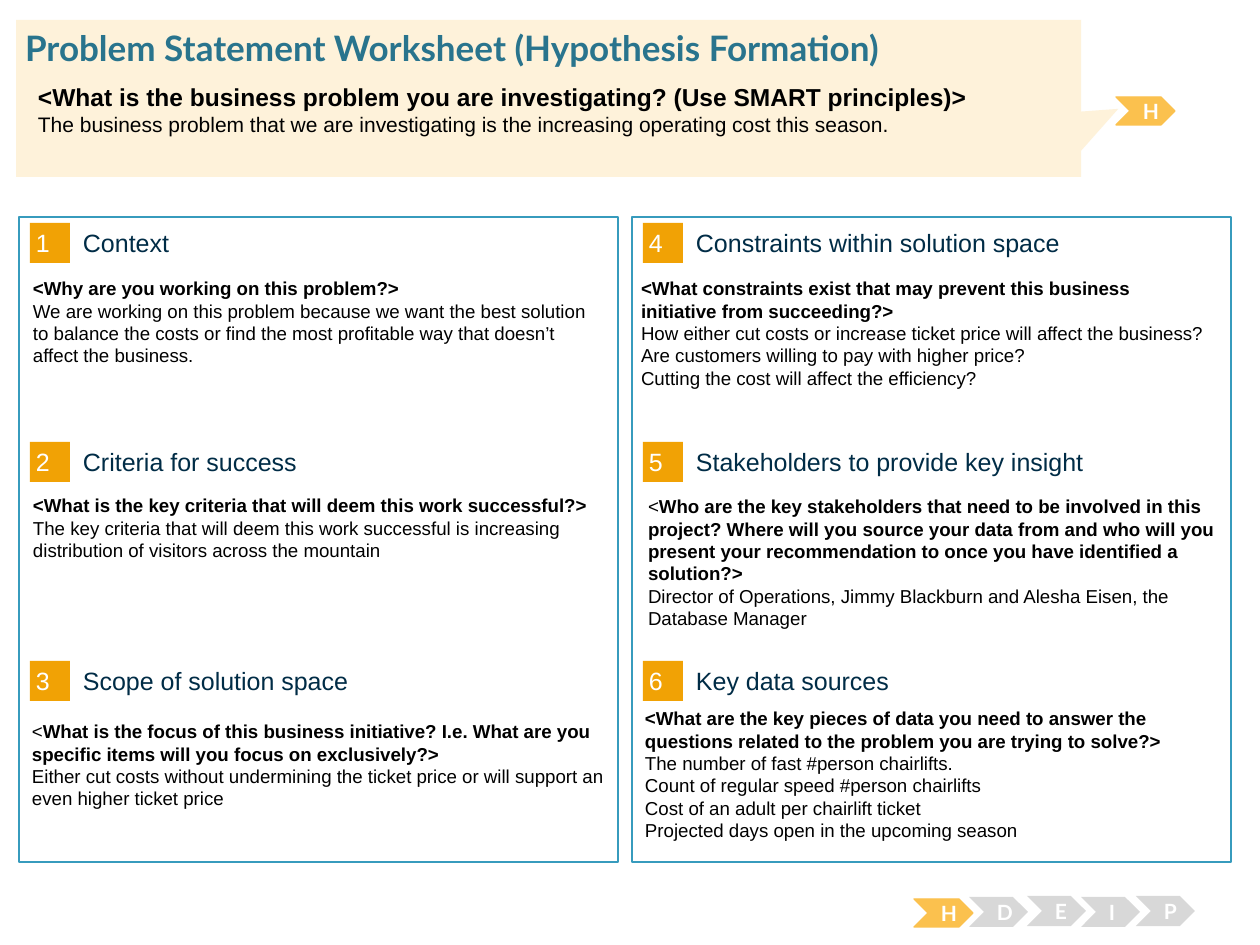
from pptx import Presentation
from pptx.dml.color import RGBColor
from pptx.enum.shapes import MSO_SHAPE
from pptx.enum.text import MSO_ANCHOR, MSO_AUTO_SIZE, PP_ALIGN
from pptx.util import Pt

RECT, CHEVRON, CALLOUT = MSO_SHAPE.RECTANGLE, MSO_SHAPE.CHEVRON, MSO_SHAPE.RECTANGULAR_CALLOUT
TOP, MIDDLE = MSO_ANCHOR.TOP, MSO_ANCHOR.MIDDLE
LEFT, CENTER = PP_ALIGN.LEFT, PP_ALIGN.CENTER
NO_FIT = MSO_AUTO_SIZE.NONE
EMU_PER_PX = 914400 / 126
COLORS = {
    "white": "FFFFFF", "black": "000000", "border": "379BBD", "badge": "F1A205",
    "heading": "002C46", "active": "FBC14E", "idle": "D8D8D8", "banner": "FEF2DA",
    "title": "29748D",
}


def px(value):
    return round(value * EMU_PER_PX)


def rgb(name):
    return RGBColor.from_string(COLORS[name])


class Deck:
    def __init__(self, width, height):
        self.prs = Presentation()
        self.prs.slide_width, self.prs.slide_height = px(width), px(height)
        self.s = self.prs.slides.add_slide(self.prs.slide_layouts[5])

    def fill_text(self, sp, paragraphs, size=10.7, color="black", font="Arial",
                  anchor=TOP, align=LEFT, insets=(13, 6)):
        tf = sp.text_frame
        x, y = map(px, insets)
        frame = {"word_wrap": True, "auto_size": NO_FIT, "vertical_anchor": anchor,
                 "margin_left": x, "margin_right": x, "margin_top": y, "margin_bottom": y}
        for key, value in frame.items():
            setattr(tf, key, value)
        for i, runs in enumerate(paragraphs):
            p = tf.add_paragraph() if i else tf.paragraphs[0]
            p.alignment = align
            for text, bold, *own_size in runs:
                r = p.add_run()
                r.text = text
                style = {"name": font, "bold": bold,
                         "size": Pt(own_size[0] if own_size else size)}
                for key, value in style.items():
                    setattr(r.font, key, value)
                r.font.color.rgb = rgb(color)

    def title(self, box, text):
        sp = self.s.shapes.title
        sp.left, sp.top, sp.width, sp.height = map(px, box)
        self.fill_text(sp, [[(text, True)]], 20, "title", "Lato", insets=(0, 0))
        sp.element.getparent().append(sp.element)

    def text(self, box, paragraphs, **style):
        self.fill_text(self.s.shapes.add_textbox(*map(px, box)), paragraphs, **style)

    def shape(self, kind, box, fill, line=None, width=0.75, adjust=()):
        sp = self.s.shapes.add_shape(kind, *map(px, box))
        sp.shadow.inherit = False
        sp.fill.solid()
        sp.fill.fore_color.rgb = rgb(fill)
        if line:
            sp.line.color.rgb = rgb(line)
            sp.line.width = Pt(width)
        else:
            sp.line.fill.background()
        for i, value in enumerate(adjust):
            sp.adjustments[i] = value
        return sp

    def section(self, number, heading, x, y):
        badge = self.shape(RECT, (x, y, 40, 40), "badge")
        self.fill_text(badge, [[(str(number), False)]], 14.3, "white", anchor=MIDDLE,
                       insets=(6, 6))
        self.text((x + 53, y + 4, 495, 31), [[(heading, False)]], size=14.3,
                  color="heading", anchor=MIDDLE, insets=(0, 0))

    def stage(self, letter, x, y, active=False):
        color = "active" if active else "idle"
        sp = self.shape(CHEVRON, (x, y, 59, 28 if active else 30), color,
                        color if active else None, adjust=[0.5])
        self.fill_text(sp, [[(letter, True)]], 12, "white", "Lato", MIDDLE, CENTER)


def answer(question, *lines, opening=""):
    first = [(opening, False)] if opening else []
    return [first + [(question, True)]] + [[(line, False)] for line in lines]


COLUMN_GAP, ROW_GAP = 613, 219
SECTIONS = [
    ("Context", (20, 271, 596, 171), answer(
        "<Why are you working on this problem?>",
        "We are working on this problem because we want the best solution to balance the costs "
        "or find the most profitable way that doesn’t affect the business.")),
    ("Criteria for success", (20, 488, 596, 194), answer(
        "<What is the key criteria that will deem this work successful?>",
        "The key criteria that will deem this work successful is increasing distribution of "
        "visitors across the mountain")),
    ("Scope of solution space", (19, 714, 602, 135), answer(
        "What is the focus of this business initiative? I.e. What are you specific items will "
        "you focus on exclusively?>",
        "Either cut costs without undermining the ticket price or will support an even higher "
        "ticket price", opening="<")),
    ("Constraints within solution space", (628, 271, 596, 149), answer(
        "<What constraints exist that may prevent this business initiative from succeeding?>",
        "How either cut costs or increase ticket price will affect the business?",
        "Are customers willing to pay with higher price?",
        "Cutting the cost will affect the efficiency?")),
    ("Stakeholders to provide key insight", (635, 489, 596, 171), answer(
        "Who are the key stakeholders that need to be involved in this project? Where will you "
        "source your data from and who will you present your recommendation to once you have "
        "identified a solution?>",
        "Director of Operations, Jimmy Blackburn and Alesha Eisen, the Database Manager",
        opening="<")),
    ("Key data sources", (632, 701, 596, 149), answer(
        "<What are the key pieces of data you need to answer the questions related to the "
        "problem you are trying to solve?>",
        "The number of fast #person chairlifts.",
        "Count of regular speed #person chairlifts",
        "Cost of an adult per chairlift ticket",
        "Projected days open in the upcoming season")),
]
STAGES = [("H", 914, 899), ("D", 969, 897), ("E", 1027, 896), ("I", 1081, 897), ("P", 1136, 896)]

deck = Deck(1260, 945)
for column in range(2):
    deck.shape(RECT, (19 + column * COLUMN_GAP, 217, 599, 645), "white", "border", 1.5)
for i, (heading, box, paragraphs) in enumerate(SECTIONS):
    column, row = divmod(i, 3)
    deck.section(i + 1, heading, 30 + column * COLUMN_GAP, 223 + row * ROW_GAP)
    deck.text(box, paragraphs)
for letter, x, y in STAGES:
    deck.stage(letter, x, y, letter == "H")
deck.stage("H", 1116, 97, True)
deck.shape(CALLOUT, (16, 20, 1065, 157), "banner", adjust=(0.535, 0.066))
deck.title((25, 26, 1212, 43), "Problem Statement Worksheet (Hypothesis Formation)")
deck.text((25, 76, 1183, 103), [
    [("<What is the business problem you are investigating? (Use SMART principles)>", True, 14)],
    [("The business problem that we are investigating is the increasing operating cost "
      "this season.", False, 12)],
])
deck.prs.save("out.pptx")
